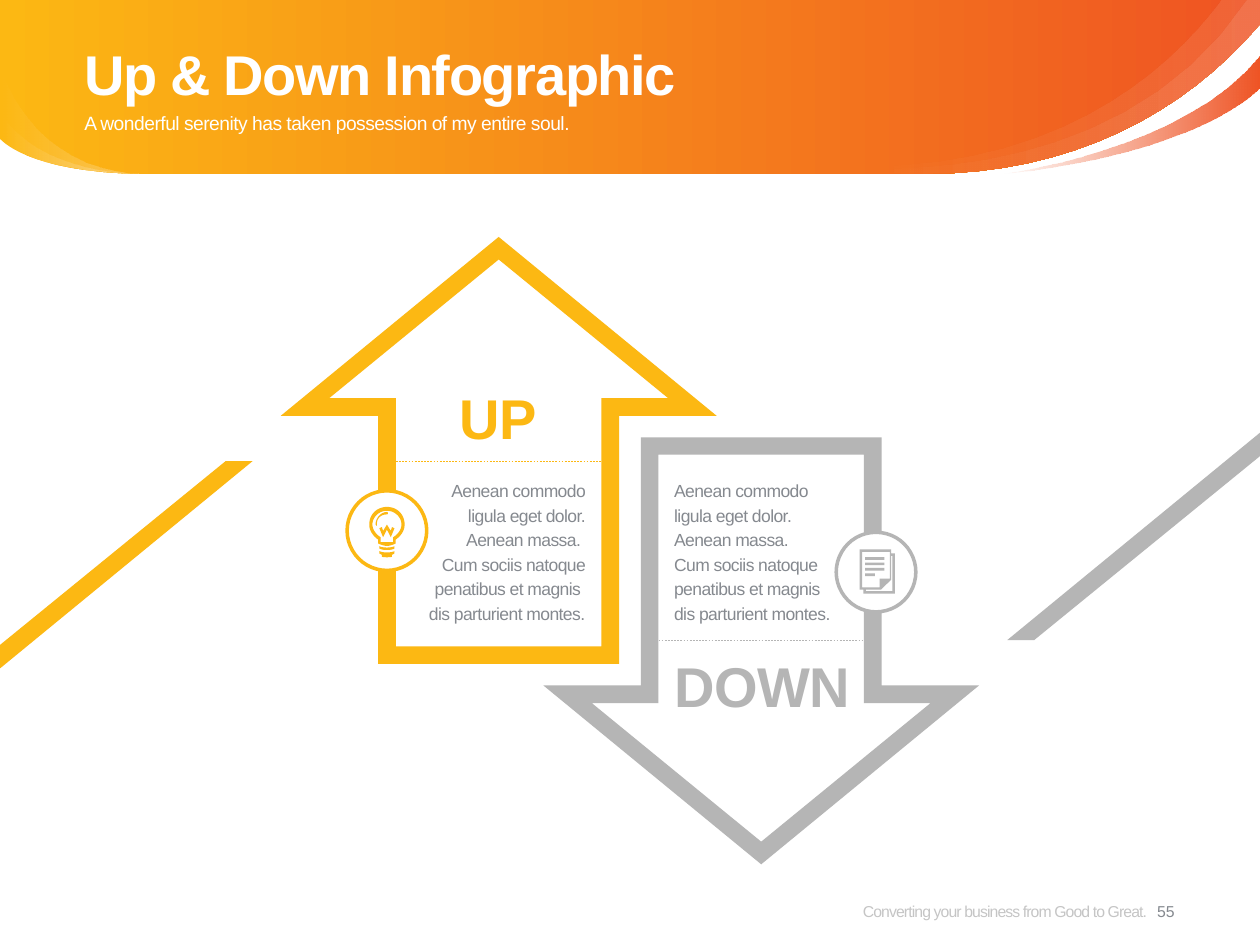
import pptx
import pptx.dml.color
import pptx.enum.dml
import pptx.enum.shapes
import pptx.enum.text
import pptx.oxml
import pptx.oxml.ns
import pptx.util

Pt = pptx.util.Pt
RGBColor = pptx.dml.color.RGBColor
ALIGN = pptx.enum.text.PP_ALIGN
ANCHOR = pptx.enum.text.MSO_ANCHOR

YELLOW = RGBColor(0xFC, 0xB8, 0x13)
ORANGE = RGBColor(0xEF, 0x53, 0x23)
SILVER = RGBColor(0xB5, 0xB5, 0xB5)
SLATE = RGBColor(0x85, 0x89, 0x8F)
PALE = RGBColor(0xC5, 0xC5, 0xC5)
WHITE = RGBColor(0xFF, 0xFF, 0xFF)

PAGE_WIDTH, PAGE_HEIGHT = 720, 540
TURN_HEIGHT = 629.3  # the down side is the up side turned about half this height
UNITS = 100  # outline units per point
CURVE_STEPS = 16
BODY = [
    "Aenean commodo ligula eget dolor. Aenean massa. ",
    "Cum sociis natoque penatibus et magnis ",
    "dis parturient montes.",
]


# Outline geometry: a pair is a corner, six numbers are a cubic curve
def trace(steps):
    points = [steps[0]]
    for step in steps[1:]:
        if len(step) == 2:
            points.append(step)
            continue
        corners = [points[-1], step[:2], step[2:4], step[4:]]
        for index in range(1, CURVE_STEPS + 1):
            t = index / CURVE_STEPS
            weights = [(1 - t) ** 3, 3 * t * (1 - t) ** 2, 3 * t * t * (1 - t), t ** 3]
            points.append(tuple(
                sum(w * corner[axis] for w, corner in zip(weights, corners))
                for axis in (0, 1)))
    return points


def symmetric(left_half):
    points = trace(left_half)
    return points + [(-x, y) for x, y in reversed(points)]


def move(outlines, left, top):
    return [[(x + left, y + top) for x, y in points] for points in outlines]


def turn(outlines):
    return [[(PAGE_WIDTH - x, TURN_HEIGHT - y) for x, y in points]
            for points in outlines]


def box_outline(left, top, width, height):
    return [(left, top), (left + width, top),
            (left + width, top + height), (left, top + height)]


# Drawing
def add_outline(page, outlines, color=None):
    builder = None
    for points in outlines:
        scaled = [(x * UNITS, y * UNITS) for x, y in points]
        if builder is None:
            builder = page.shapes.build_freeform(*scaled[0], scale=Pt(1) / UNITS)
        else:
            builder.move_to(*scaled[0])
        builder.add_line_segments(scaled[1:], close=True)
    shape = builder.convert_to_shape()
    shape.shadow.inherit = False
    shape.line.fill.background()
    if color is not None:
        shape.fill.solid()
        shape.fill.fore_color.rgb = color
    return shape


def add_gradient(page, steps, colors, start=0, opacities=(100, 100)):
    shape = add_outline(page, [trace(steps)])
    shape.fill.gradient()
    shape.fill.gradient_angle = 0
    for stop, color, position in zip(shape.fill.gradient_stops, colors, (start, 1)):
        stop.color.rgb = color
        stop.position = position
    swatches = list(shape.element.spPr.iter(pptx.oxml.ns.qn("a:srgbClr")))
    for swatch, opacity in zip(swatches, opacities):
        if opacity < 100:
            alpha = pptx.oxml.parse_xml(
                f'<a:alpha {pptx.oxml.ns.nsdecls("a")} val="{opacity * 1000}"/>')
            swatch.append(alpha)


def add_divider(page, left, right, top, color):
    line = page.shapes.add_connector(
        pptx.enum.shapes.MSO_CONNECTOR.STRAIGHT, Pt(left), Pt(top), Pt(right), Pt(top))
    line.line.color.rgb = color
    line.line.width = Pt(0.25)
    line.line.dash_style = pptx.enum.dml.MSO_LINE.DASH
    line.element.spPr.append(pptx.oxml.parse_xml(
        f'<a:effectLst {pptx.oxml.ns.nsdecls("a")}/>'))


def add_badge(page, center_x, center_y, color):
    size = 45.5
    badge = page.shapes.add_shape(
        pptx.enum.shapes.MSO_SHAPE.OVAL, Pt(center_x - size / 2),
        Pt(center_y - size / 2), Pt(size), Pt(size))
    badge.shadow.inherit = False
    badge.fill.solid()
    badge.fill.fore_color.rgb = WHITE
    badge.line.color.rgb = color
    badge.line.width = Pt(2)


def add_text(page, area, lines, size, color, spacing=0, bold=False,
             align=ALIGN.LEFT, anchor=ANCHOR.TOP, leading=None):
    box = page.shapes.add_textbox(*map(Pt, area))
    frame = box.text_frame
    frame.word_wrap = True
    frame.vertical_anchor = anchor
    frame.margin_left = frame.margin_right = frame.margin_top = frame.margin_bottom = 0
    frame.text = "\n".join(lines)
    for para in frame.paragraphs:
        para.alignment = align
        if leading:
            para.line_spacing = Pt(leading)
        para.font.name = "Arial"
        para.font.size = Pt(size)
        para.font.bold = bold
        para.font.color.rgb = color
        para.font._element.set("spc", str(round(spacing * 100)))


# Parts of the slide
def add_header(page):
    edge = [(720, 0), (720, 13.7), (676.8, 64.8, 612, 99.4, 528.5, 99.4)]
    add_gradient(page, edge + [(82, 99.4), (15, 98.6, 0, 79.2, 0, 79.2), (0, 0)],
                 (YELLOW, ORANGE))
    add_gradient(page, [(571.7, 99.4), (571.7, 99.4, 676.8, 86.4, 720, 31),
                        (720, 49.7), (720, 49.7, 686.9, 87.8, 571.7, 99.4)],
                 (ORANGE, ORANGE), opacities=(0, 100))
    # Light sheens at the right and left corners
    underside = edge + [(522, 99.4), (491.8, 99.4, 470.2, 94.3, 468.7, 94.3)]
    for sweep in [(599, 103, 666.7, 41.8, 697.7, 0), (473.8, 95, 635, 116.6, 712.1, 0)]:
        add_gradient(page, underside + [sweep], (WHITE, WHITE), 0.15, (0, 10))
    for top, dip in [(64, 97.9), (38.2, 97.2)]:
        add_gradient(page, [(82, 99.4), (15, 98.6, 0, 79.2, 0, 79.2), (0, top),
                            (0, top, 15, dip, 82, 99.4)],
                     (WHITE, WHITE), opacities=(0, 30))
    add_text(page, (48.2, 16.6, 623.5, 46.8), ["Up & Down Infographic"], 32, WHITE,
             -0.8, True, anchor=ANCHOR.MIDDLE, leading=42)
    add_text(page, (48.2, 63.4, 623.5, 28),
             ["A wonderful serenity has taken possession of my entire soul."],
             11, WHITE, -0.3)


def add_arrows(page):
    arrow = move([
        symmetric([(0, 135.4), (-124.5, 237.6), (-68.8, 237.6), (-68.8, 379.4)]),
        symmetric([(0, 148.3), (-96.8, 227.5), (-58.7, 227.5), (-58.7, 369.4)]),
    ], 285, 0)
    strip = [[(144.4, 263.5), (0, 382), (0, 368.6), (129, 263.5)]]
    add_outline(page, turn(arrow), SILVER)
    add_divider(page, 226.3, 343.7, 263.5, YELLOW)
    add_divider(page, PAGE_WIDTH - 343.7, PAGE_WIDTH - 226.3, TURN_HEIGHT - 263.5, SILVER)
    add_outline(page, strip, YELLOW)
    add_outline(page, turn(strip), SILVER)
    add_outline(page, arrow, YELLOW)


def add_bulb(page, left, top):
    glass = symmetric([(0, 0), (-5.8, 0, -10.1, 4.3, -10.1, 10.1),
                       (-10.1, 13.7, -7.9, 16.6, -5, 18.7), (-5, 20.9),
                       (-3.6, 21.6, -1.4, 22.3, 0, 22.3)])
    hollow = symmetric([(0, 2.2), (-4.5, 2.2, -8.3, 5.8, -8.3, 10.1),
                        (-8.3, 13, -6.1, 15.8, -3.6, 17.3), (-3.6, 20.2)])
    filament = symmetric([(0, 10.1), (-2.2, 13.7), (-2.9, 11.5), (-4.3, 12.2),
                          (-2.2, 17.3), (0, 13)])
    glint = trace([(0, 4.3), (0.7, 4.3, 0.7, 2.9, 0, 2.9),
                   (-3.6, 2.9, -6.5, 6.5, -6.5, 10.1), (-5.8, 10.8), (-5.8, 10.1),
                   (-5.8, 6.5, -3.6, 4.3, 0, 4.3)])
    collar = symmetric([(0, 23.2), (-1.4, 23.2, -3.6, 23, -4.3, 22.4), (-4.3, 23.8),
                        (-2.9, 24.5, -1.4, 24.6, 0, 24.6)])
    foot = symmetric([(0, 26), (-1.4, 26, -3.6, 25.8, -4.3, 25.2), (-4.3, 26.6),
                      (-2.9, 27.4), (-2.9, 28.6), (0, 28.8)])
    add_outline(page, move([glass, hollow, filament, glint, collar, foot], left, top),
                YELLOW)


def add_document(page, left, top):
    sheets = [(18, 2.2), (18, 0), (0, 0), (0, 23), (2.2, 23), (2.2, 25.2),
              (20.2, 25.2), (20.2, 2.2)]
    front = [(1.4, 21.6), (1.4, 1.4), (17.3, 1.4), (17.3, 16.6), (11.5, 16.6),
             (11.5, 21.6)]
    back = [(18.7, 23.8), (3.6, 23.8), (3.6, 23), (12.2, 23), (18, 17.3), (18, 3.6),
            (18.7, 3.6)]
    rows = [box_outline(3.2, 4.4 + 3.1 * row, width, 1.5)
            for row, width in enumerate((11, 11, 11, 5.6))]
    add_outline(page, move([sheets, front, back] + rows, left, top), SILVER)


def main():
    deck = pptx.Presentation()
    deck.slide_width, deck.slide_height = Pt(PAGE_WIDTH), Pt(PAGE_HEIGHT)
    page = deck.slides.add_slide(deck.slide_layouts[6])
    add_header(page)
    add_arrows(page)

    # Icon badges
    add_badge(page, 221.1, 303.2, YELLOW)
    add_bulb(page, 221.1, 289.7)
    add_badge(page, 500.6, 326.9, SILVER)
    add_document(page, 491.2, 314)

    # Arrow captions
    for left, align in [(234.9, ALIGN.RIGHT), (385.2, ALIGN.LEFT)]:
        add_text(page, (left, 272.3, 99.4, 85), BODY, 10, SLATE, -0.3,
                 align=align, leading=14)
    add_text(page, (234.9, 219.1, 99.4, 38.8), ["UP"], 32, YELLOW, -0.3, True,
             ALIGN.CENTER)
    add_text(page, (380.2, 372.2, 110.9, 38.8), ["DOWN"], 32, SILVER, -0.3, True,
             ALIGN.CENTER)

    # Footer
    add_text(page, (434.9, 501.1, 220.3, 38.9),
             ["Converting your business from Good to Great."], 9, PALE, -0.5,
             align=ALIGN.RIGHT, anchor=ANCHOR.MIDDLE)
    add_text(page, (649.4, 501.1, 33.8, 38.9), ["55"], 9, SLATE,
             align=ALIGN.CENTER, anchor=ANCHOR.MIDDLE)
    deck.save("out.pptx")


if __name__ == "__main__":
    main()
